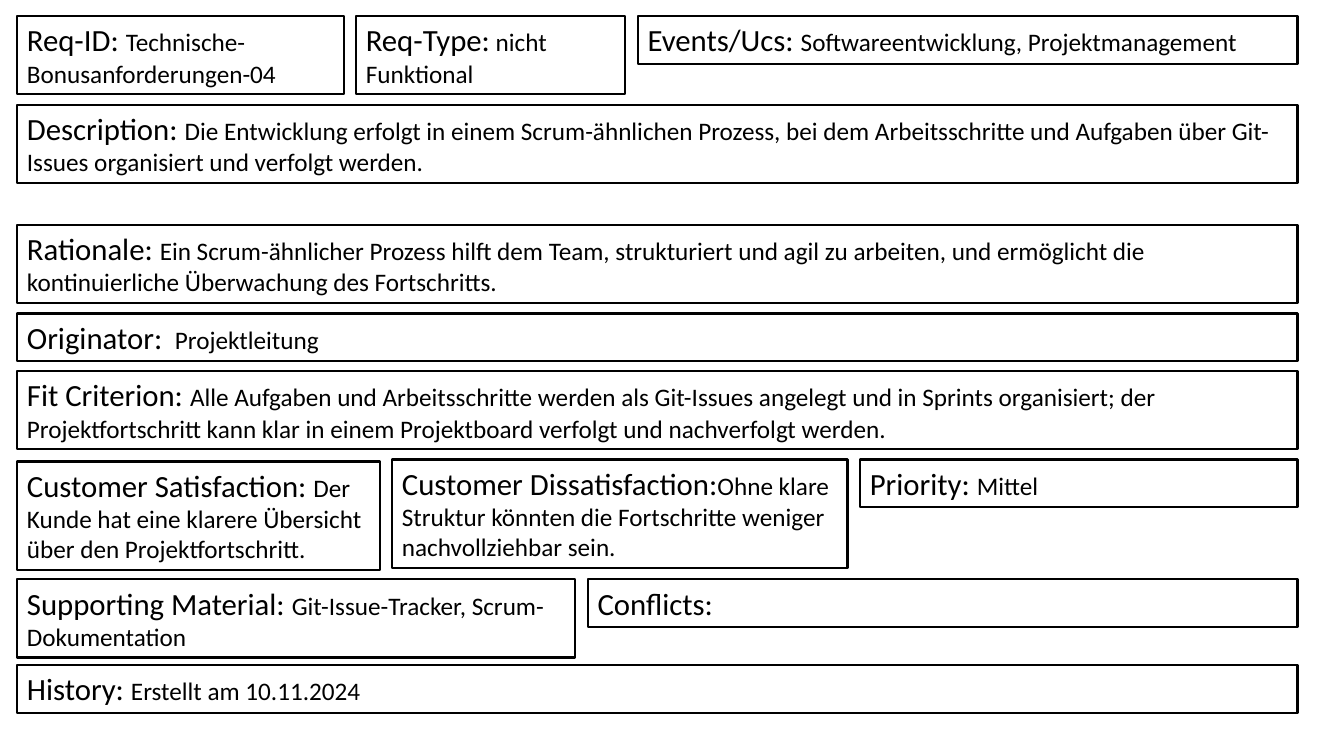
from pptx import Presentation
from pptx.dml.color import RGBColor
from pptx.enum.text import MSO_AUTO_SIZE
from pptx.util import Cm, Pt

FIT_SHAPE = MSO_AUTO_SIZE.SHAPE_TO_FIT_TEXT
COLORS = {"ink": "000000", "paper": "FFFFFF"}
FONT = "Calibri"
LEFT, RIGHT, GAP = 0.43, 32.7, 0.31
FULL_WIDTH = RIGHT - LEFT
FIRST_LINE, NEXT_LINE = 1.2, 0.77

# Each row: fields from left to right as (top, width, lines, label, value)
rows = [
    [(0.41, 8.23, 2, "Req-ID: ", "Technische-Bonusanforderungen-04"),
     (0.41, 6.79, 2, "Req-Type:", " nicht Funktional"),
     (0.41, 16.63, 1, "Events/Ucs: ", "Softwareentwicklung, Projektmanagement")],
    [(2.64, FULL_WIDTH, 2, "Description: ",
      "Die Entwicklung erfolgt in einem Scrum-ähnlichen Prozess, bei dem "
      "Arbeitsschritte und Aufgaben über Git-Issues organisiert und verfolgt werden.")],
    [(5.66, FULL_WIDTH, 2, "Rationale: ",
      "Ein Scrum-ähnlicher Prozess hilft dem Team, strukturiert und agil zu arbeiten, "
      "und ermöglicht die kontinuierliche Überwachung des Fortschritts.")],
    [(7.9, FULL_WIDTH, 1, "Originator: ", " Projektleitung")],
    [(9.35, FULL_WIDTH, 2, "Fit Criterion: ",
      "Alle Aufgaben und Arbeitsschritte werden als Git-Issues angelegt und in Sprints "
      "organisiert; der Projektfortschritt kann klar in einem Projektboard verfolgt "
      "und nachverfolgt werden.")],
    [(11.63, 9.14, 3, "Customer Satisfaction: ",
      "Der Kunde hat eine klarere Übersicht über den Projektfortschritt."),
     (11.58, 11.48, 3, "Customer Dissatisfaction:",
      "Ohne klare Struktur könnten die Fortschritte weniger nachvollziehbar sein."),
     (11.58, 11.03, 1, "Priority: ", "Mittel")],
    [(14.6, 14.07, 2, "Supporting Material: ", "Git-Issue-Tracker, Scrum-Dokumentation"),
     (14.6, 17.89, 1, "Conflicts:", "")],
    [(16.76, FULL_WIDTH, 1, "History: ", "Erstellt am 10.11.2024")],
]

presentation = Presentation()
presentation.slide_width = Cm(33.87)
presentation.slide_height = Cm(19.05)
slide = presentation.slides.add_slide(presentation.slide_layouts[6])
slide.background.fill.solid()
slide.background.fill.fore_color.rgb = RGBColor.from_string(COLORS["paper"])

for row in rows:
    left = LEFT
    for top, width, lines, label, value in row:
        height = FIRST_LINE + NEXT_LINE * (lines - 1)
        field = slide.shapes.add_textbox(Cm(left), Cm(top), Cm(width), Cm(height))
        field.line.color.rgb = RGBColor.from_string(COLORS["ink"])
        field.line.width = Pt(1.5)
        text_frame = field.text_frame
        text_frame.word_wrap = True
        text_frame.auto_size = FIT_SHAPE
        paragraph = text_frame.paragraphs[0]
        for text, size in ((label, 22), (value, 18)):
            if text:
                run = paragraph.add_run()
                run.text = text
                run.font.name = FONT
                run.font.size = Pt(size)
                run.font.color.rgb = RGBColor.from_string(COLORS["ink"])
        left += width + GAP

presentation.save("out.pptx")
